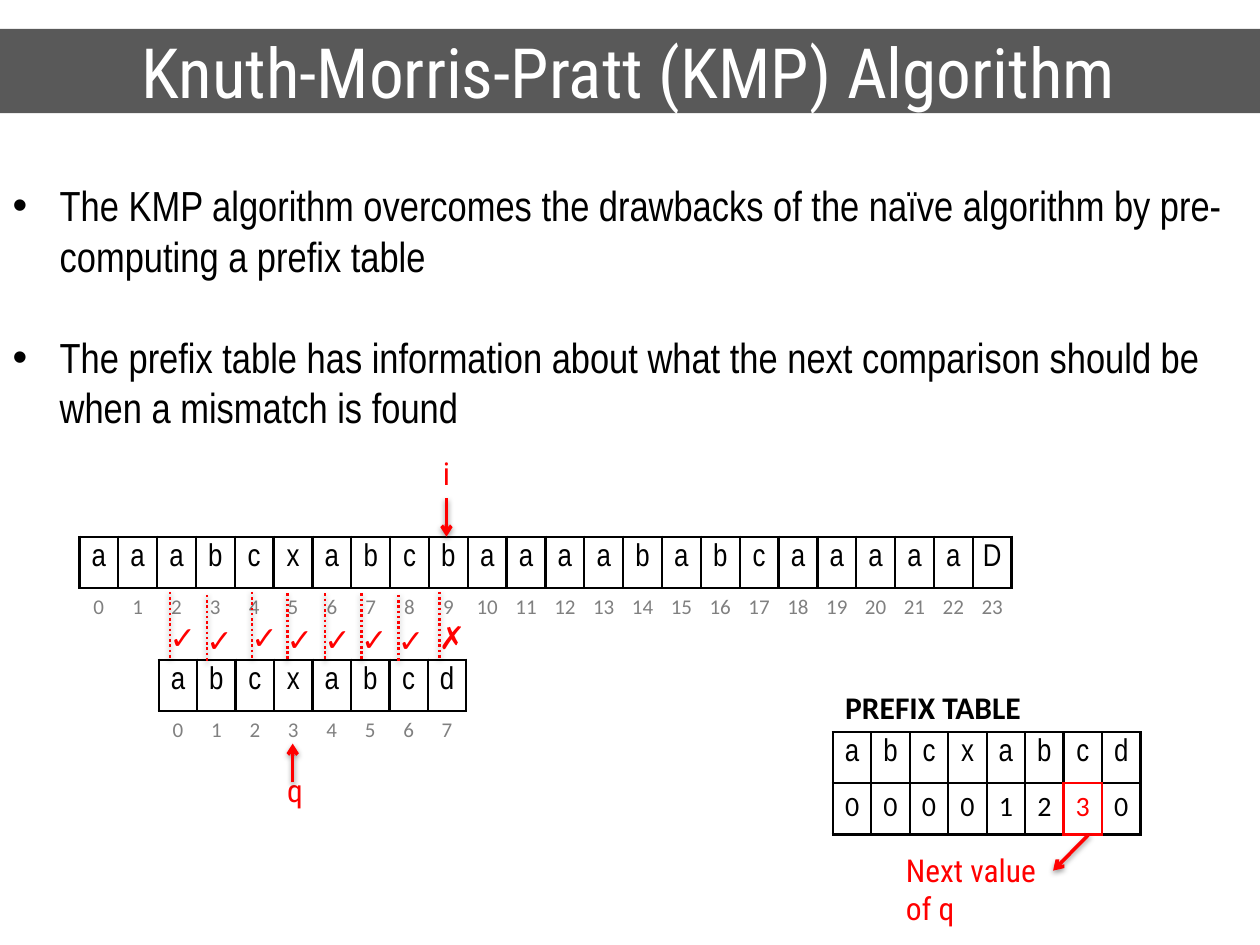
from lxml import etree
from pptx import Presentation
from pptx.dml.color import RGBColor
from pptx.enum.dml import MSO_LINE
from pptx.enum.shapes import MSO_CONNECTOR
from pptx.enum.text import MSO_ANCHOR, MSO_AUTO_SIZE, PP_ALIGN
from pptx.oxml import parse_xml
from pptx.oxml.ns import nsdecls, qn
from pptx.util import Cm, Pt

BLACK = RGBColor(0x00, 0x00, 0x00)
WHITE = RGBColor(0xFF, 0xFF, 0xFF)
RED = RGBColor(0xFF, 0x00, 0x00)
GRAY = RGBColor(0x80, 0x80, 0x80)
DARK_GRAY = RGBColor(0x59, 0x59, 0x59)

NARROW = "Arial Narrow"
CONDENSED = "Roboto Condensed"
CENTER = PP_ALIGN.CENTER
LEFT = PP_ALIGN.LEFT
MIDDLE = MSO_ANCHOR.MIDDLE
NO_FIT = MSO_AUTO_SIZE.NONE
GROW = MSO_AUTO_SIZE.SHAPE_TO_FIT_TEXT
STRAIGHT = MSO_CONNECTOR.STRAIGHT
DOTTED = MSO_LINE.ROUND_DOT

SIDES = {"a:lnL": (0, -1), "a:lnR": (0, 1), "a:lnT": (-1, 0), "a:lnB": (1, 0)}
BULLETS = (
    "The KMP algorithm overcomes the drawbacks of the naïve algorithm by "
    "pre-computing a prefix table",
    "The prefix table has information about what the next comparison should be "
    "when a mismatch is found",
)
SEARCHED = "aaabcxabcbaaaababcaaaaaD"
PATTERN = "abcxabcd"
PREFIXES = "00001230"
COMPARISONS = (
    (3.43, 12.34, "✓"),
    (4.17, 12.4, "✓"),
    (5.08, 12.34, "✓"),
    (5.79, 12.37, "✓"),
    (6.55, 12.37, "✓"),
    (7.29, 12.37, "✓"),
    (8.03, 12.4, "✓"),
    (8.86, 12.34, "✗"),
)


def write(para, text, font=CONDENSED, size=18, color=RED, bold=False, align=LEFT):
    para.alignment = align
    span = para.add_run()
    span.text = text
    span.font.name = font
    span.font.size = Pt(size)
    span.font.color.rgb = color
    span.font.bold = bold


def place(shape, left, top, width, height):
    shape.left, shape.top = Cm(left), Cm(top)
    shape.width, shape.height = Cm(width), Cm(height)


def add_title(page, text):
    title = page.shapes.title
    place(title, -0.05, 0.58, 25.45, 1.7)
    title.fill.solid()
    title.fill.fore_color.rgb = DARK_GRAY
    title.text_frame.auto_size = NO_FIT
    title.text_frame.vertical_anchor = MIDDLE
    write(title.text_frame.paragraphs[0], text, size=39.6, color=WHITE, align=CENTER)


def add_bullets(page, items):
    body = page.placeholders[1]
    place(body, 0, 3.5, 25.4, 5.38)
    frame = body.text_frame
    frame.auto_size = NO_FIT
    for number, item in enumerate(items):
        para = frame.add_paragraph() if number else frame.paragraphs[0]
        properties = para._p.get_or_add_pPr()
        properties.set("marL", str(Cm(0.95)))
        properties.set("indent", str(Cm(-0.95)))
        bullet = etree.SubElement(properties, qn("a:buChar"))
        bullet.set("char", "•")
        para.space_before = Pt(29 if number else 0)
        write(para, item, font=NARROW, size=24, color=BLACK)


def add_label(shapes, text, left, top, width, wrap=False, **style):
    box = shapes.add_textbox(Cm(left), Cm(top), Cm(width), Cm(1.02))
    box.text_frame.word_wrap = wrap
    box.text_frame.auto_size = GROW
    write(box.text_frame.paragraphs[0], text, **style)
    return box


def add_line(shapes, start, end, width=2, dotted=False):
    line = shapes.add_connector(STRAIGHT, *(Cm(value) for value in (*start, *end)))
    line.line.color.rgb = RED
    line.line.width = Pt(width)
    if dotted:
        line.line.dash_style = DOTTED
    else:
        tail = etree.SubElement(line.line._get_or_add_ln(), qn("a:tailEnd"))
        tail.set("type", "arrow")
    line._element.spPr.append(parse_xml(
        f'<a:effectLst {nsdecls("a")}>'
        f'<a:outerShdw blurRad="{Pt(3.1)}" dist="{Pt(1.6)}" dir="5400000" rotWithShape="0">'
        '<a:srgbClr val="000000"><a:alpha val="38000"/></a:srgbClr>'
        '</a:outerShdw></a:effectLst>'
    ))
    return line


def add_border(cell, side, color):
    border = etree.SubElement(cell._tc.get_or_add_tcPr(), qn(side))
    border.set("w", str(Pt(1.5)))
    if color is None:
        etree.SubElement(border, qn("a:noFill"))
    else:
        fill = etree.SubElement(border, qn("a:solidFill"))
        etree.SubElement(fill, qn("a:srgbClr")).set("val", str(color))


def add_letter_table(page, letters, values, left, top, width, indexed=True, marked=None):
    table = page.shapes.add_table(
        2, len(letters), Cm(left), Cm(top), Cm(width), Cm(2.06)
    ).table
    table.first_row = table.horz_banding = False
    value_style = {"size": 12, "color": GRAY} if indexed else {"size": 16, "color": BLACK}
    styles = ({"font": NARROW, "color": BLACK}, {"font": "Calibri", **value_style})
    for row, texts in enumerate((letters, values)):
        for column, text in enumerate(texts):
            cell = table.cell(row, column)
            cell.margin_left = cell.margin_right = Cm(0.1)
            cell.margin_top = cell.margin_bottom = Cm(0.13)
            style = dict(styles[row])
            if marked == (row, column):
                style["color"] = RED
            write(cell.text_frame.paragraphs[0], str(text), align=CENTER, **style)
            for side, (down, across) in SIDES.items():
                touching = ((row, column), (row + down, column + across))
                color = RED if marked in touching else BLACK
                if indexed and row == 1 and side != "a:lnT":
                    color = None
                add_border(cell, side, color)
            cell.fill.background()


def add_comparison(page, left, top, mark):
    group = page.shapes.add_group_shape()
    add_label(group.shapes, mark, left - 0.26, top, 1.02, font="Arial")
    add_line(group.shapes, (left, top - 0.41), (left, top + 0.95), width=1.5, dotted=True)


def main():
    deck = Presentation()
    deck.slide_width, deck.slide_height = Cm(25.4), Cm(19.05)
    page = deck.slides.add_slide(deck.slide_layouts[1])
    shapes = page.shapes
    add_title(page, "Knuth-Morris-Pratt (KMP) Algorithm")
    add_bullets(page, BULLETS)
    add_letter_table(page, SEARCHED, range(len(SEARCHED)), 1.6, 10.82, 18.8)
    add_letter_table(page, PATTERN, range(len(PATTERN)), 3.2, 13.3, 6.2)
    for left, top, mark in COMPARISONS:
        add_comparison(page, left, top, mark)
    text_pointer = add_label(shapes, "i", 8.68, 9.02, 0.64)
    text_arrow = add_line(shapes, (9, 10.04), (9, 10.82))
    text_arrow.begin_connect(text_pointer, 2)
    add_label(shapes, "q", 5.54, 15.42, 0.76)
    add_line(shapes, (5.9, 15.77), (5.9, 14.99))
    add_letter_table(page, PATTERN, PREFIXES, 16.79, 14.76, 6.2, indexed=False, marked=(1, 6))
    add_label(shapes, "PREFIX TABLE", 16.79, 13.74, 4.14, font="Calibri", color=BLACK, bold=True)
    add_line(shapes, (21.95, 16.82), (21.23, 17.55))
    add_label(shapes, "Next value of q", 18.01, 17.04, 3.43, wrap=True)
    deck.save("out.pptx")


if __name__ == "__main__":
    main()
